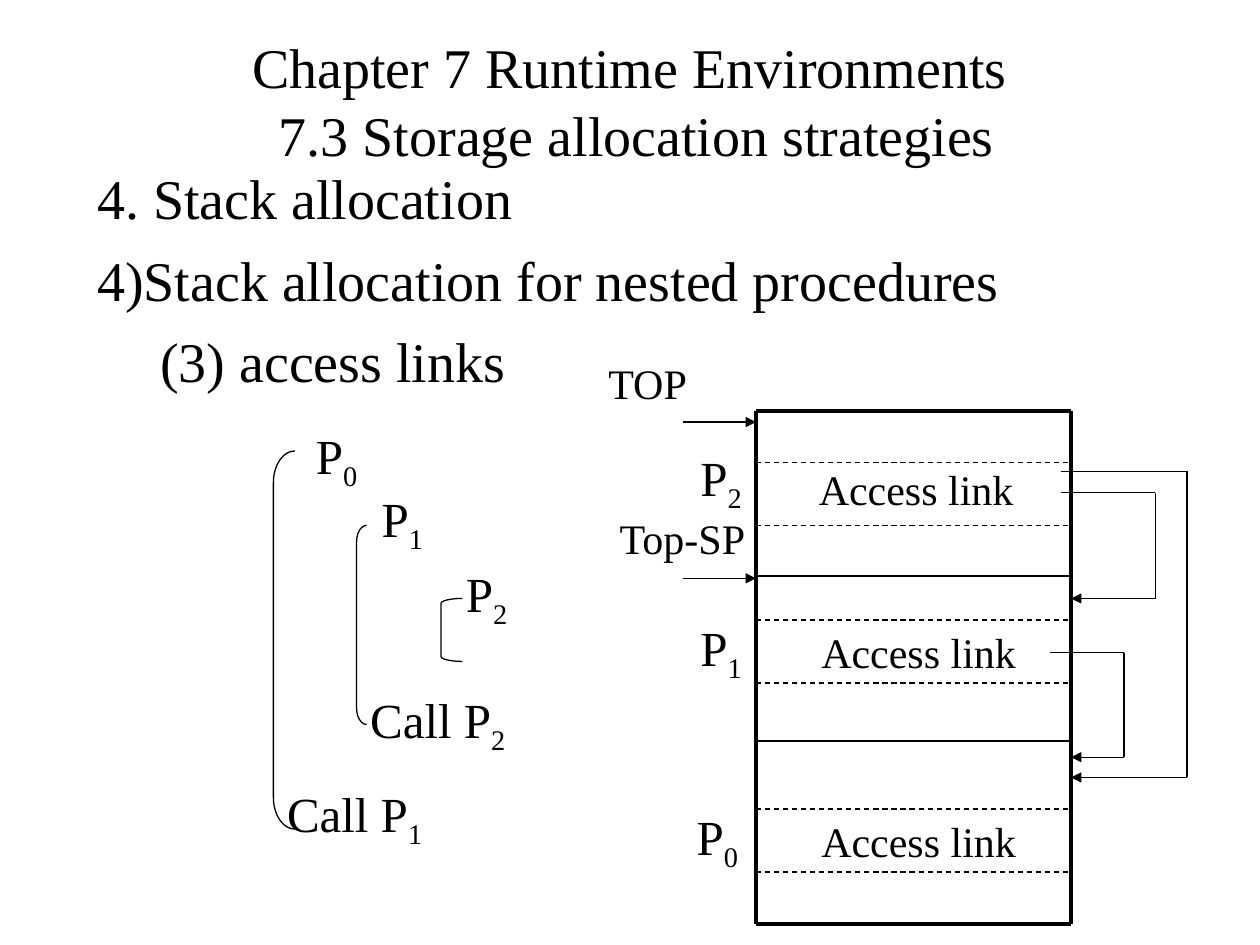
from itertools import pairwise

from lxml.etree import SubElement
from pptx import Presentation
from pptx.dml.color import RGBColor
from pptx.enum.dml import MSO_LINE
from pptx.enum.shapes import MSO_CONNECTOR, MSO_SHAPE
from pptx.enum.text import MSO_ANCHOR, MSO_AUTO_SIZE, PP_ALIGN
from pptx.oxml.ns import qn
from pptx.util import Inches, Pt


def color(code):
    """Return the colour for a hex string."""
    return RGBColor.from_string(code)


def apply(target, values):
    """Set each attribute of the target from a dict."""
    for name, value in values.items():
        setattr(target, name, value)


class StackSlide:
    """Hold the style and the current slide."""

    ink = "000000"
    font_name = "Times New Roman"
    heading_size = 32

    def __init__(self, slide):
        """Keep the slide to draw on."""
        self.slide = slide

    def style_font(self, font, size):
        """Apply the common font at a size."""
        apply(font, {"name": self.font_name, "size": Pt(size)})
        font.color.rgb = color(self.ink)

    def place(self, shape, left, top, width, height):
        """Move and size a placeholder."""
        apply(shape, {
            "left": Inches(left), "top": Inches(top),
            "width": Inches(width), "height": Inches(height),
        })

    def title(self, text, box):
        """Fill the title placeholder."""
        heading = self.slide.shapes.title
        self.place(heading, *box)
        frame = heading.text_frame
        apply(frame, {
            "text": text, "word_wrap": True,
            "auto_size": MSO_AUTO_SIZE.NONE, "vertical_anchor": MSO_ANCHOR.MIDDLE,
        })
        paragraph = frame.paragraphs[0]
        paragraph.alignment = PP_ALIGN.CENTER
        for run in paragraph.runs:
            self.style_font(run.font, self.heading_size)

    def outline(self, items, box):
        """Fill the body placeholder with text, level, margin and indent."""
        body = self.slide.placeholders[1]
        self.place(body, *box)
        frame = body.text_frame
        apply(frame, {
            "text": "\n".join(item[0] for item in items), "word_wrap": True,
            "auto_size": MSO_AUTO_SIZE.NONE, "vertical_anchor": MSO_ANCHOR.TOP,
        })
        for index, (paragraph, item) in enumerate(zip(frame.paragraphs, items)):
            level, margin, indent = item[1:]
            apply(paragraph, {"level": level, "space_before": Pt(8 if index else 0)})
            properties = paragraph._p.get_or_add_pPr()
            properties.set("marL", str(Inches(margin)))
            properties.set("indent", str(Inches(indent)))
            SubElement(properties, qn("a:buNone"))
            self.style_font(paragraph.runs[0].font, self.heading_size)

    def label(self, text, left, top, width, size=24, subscript=""):
        """Add a one-line label with an optional subscript."""
        height = 0.5 if size == 24 else 0.63
        label = self.slide.shapes.add_textbox(
            Inches(left), Inches(top), Inches(width), Inches(height))
        frame = label.text_frame
        apply(frame, {"word_wrap": False, "auto_size": MSO_AUTO_SIZE.SHAPE_TO_FIT_TEXT})
        for part in filter(None, (text, subscript)):
            run = frame.paragraphs[0].add_run()
            run.text = part
            self.style_font(run.font, size)
            if part == subscript:
                run._r.get_or_add_rPr().set("baseline", "-25000")

    def line(self, start, end, width=0.75, dashed=False, arrow=False):
        """Add a straight line with an optional arrowhead."""
        connector = self.slide.shapes.add_connector(
            MSO_CONNECTOR.STRAIGHT, *map(Inches, (*start, *end)))
        stroke = connector.line
        stroke.color.rgb = color(self.ink)
        stroke.width = Pt(width)
        if dashed:
            stroke.dash_style = MSO_LINE.DASH
        if arrow:
            SubElement(stroke._get_or_add_ln(), qn("a:tailEnd"), type="triangle")
        SubElement(connector._element.spPr, qn("a:effectLst"))

    def route(self, points):
        """Join points by lines, with an arrowhead on the last one."""
        for start, end in pairwise(points):
            self.line(start, end, arrow=end == points[-1])

    def bracket(self, left, top, width, height, curve):
        """Add a left bracket whose corners have the given height."""
        bracket = self.slide.shapes.add_shape(
            MSO_SHAPE.LEFT_BRACKET, *map(Inches, (left, top, width, height)))
        bracket.adjustments[0] = curve / width
        bracket.shadow.inherit = False
        bracket.fill.background()
        bracket.line.color.rgb = color(self.ink)
        bracket.line.width = Pt(0.75)


def main():
    """Build and save the slide."""
    deck = Presentation()
    apply(deck, {"slide_width": Inches(10), "slide_height": Inches(7.5)})
    page = StackSlide(deck.slides.add_slide(deck.slide_layouts[1]))

    page.title("Chapter 7 Runtime Environments\v 7.3 Storage allocation strategies",
               (0.75, 0.17, 8.5, 1.25))
    page.outline([
        ("4. Stack allocation", 0, 0.38, -0.38),
        ("4)Stack allocation for nested procedures", 0, 0.38, -0.38),
        ("(3) access links", 1, 0.81, -0.31),
    ], (0.67, 1.25, 9, 5.83))

    for text, number, left, top, width in (
        ("P", "0", 2.41, 3.33, 0.53), ("P", "1", 2.93, 3.83, 0.53),
        ("P", "2", 3.6, 4.42, 0.53), ("Call P", "2", 2.84, 5.42, 1.27),
        ("Call P", "1", 2.18, 6.17, 1.27), ("P", "2", 5.46, 3.5, 0.53),
        ("P", "1", 5.46, 4.85, 0.53), ("P", "0", 5.43, 6.35, 0.53),
    ):
        page.label(text, left, top, width, size=28, subscript=number)

    for nesting in ((2.17, 3.58, 0.17, 3, 0.25), (2.83, 4.17, 0.08, 1.58, 0.13),
                    (3.5, 4.75, 0.17, 0.5, 0.04)):
        page.bracket(*nesting)

    stack_left, stack_right, stack_top, stack_bottom = 6, 8.5, 3.26, 7.33
    for y, width in ((stack_top, 2.25), (4.57, 1), (5.88, 1), (stack_bottom, 2.25)):
        page.line((stack_left, y), (stack_right, y), width)
    for x in (stack_left, stack_right):
        page.line((x, stack_top), (x, stack_bottom), 2.25)
    for link_top in (3.67, 4.92, 6.42):
        for y in (link_top, link_top + 0.5):
            page.line((stack_left, y), (stack_right, y), dashed=True)

    for link_start, link_x, link_y, target_y in (
        (8.42, 9.42, 3.74, 6.17), (8.33, 8.92, 5.18, 6.01), (8.42, 9.17, 3.91, 4.75),
    ):
        page.route([(link_start, link_y), (link_x, link_y),
                    (link_x, target_y), (stack_right, target_y)])
    for pointer_y in (3.35, 4.59):
        page.route([(5.42, pointer_y), (stack_left, pointer_y)])

    page.label("TOP", 4.73, 2.79, 0.83)
    page.label("Top-SP", 4.82, 4.02, 1.22)
    for left, top in ((6.4, 3.63), (6.42, 4.92), (6.42, 6.42)):
        page.label("Access link", left, top, 1.8)

    deck.save("out.pptx")


if __name__ == "__main__":
    main()
